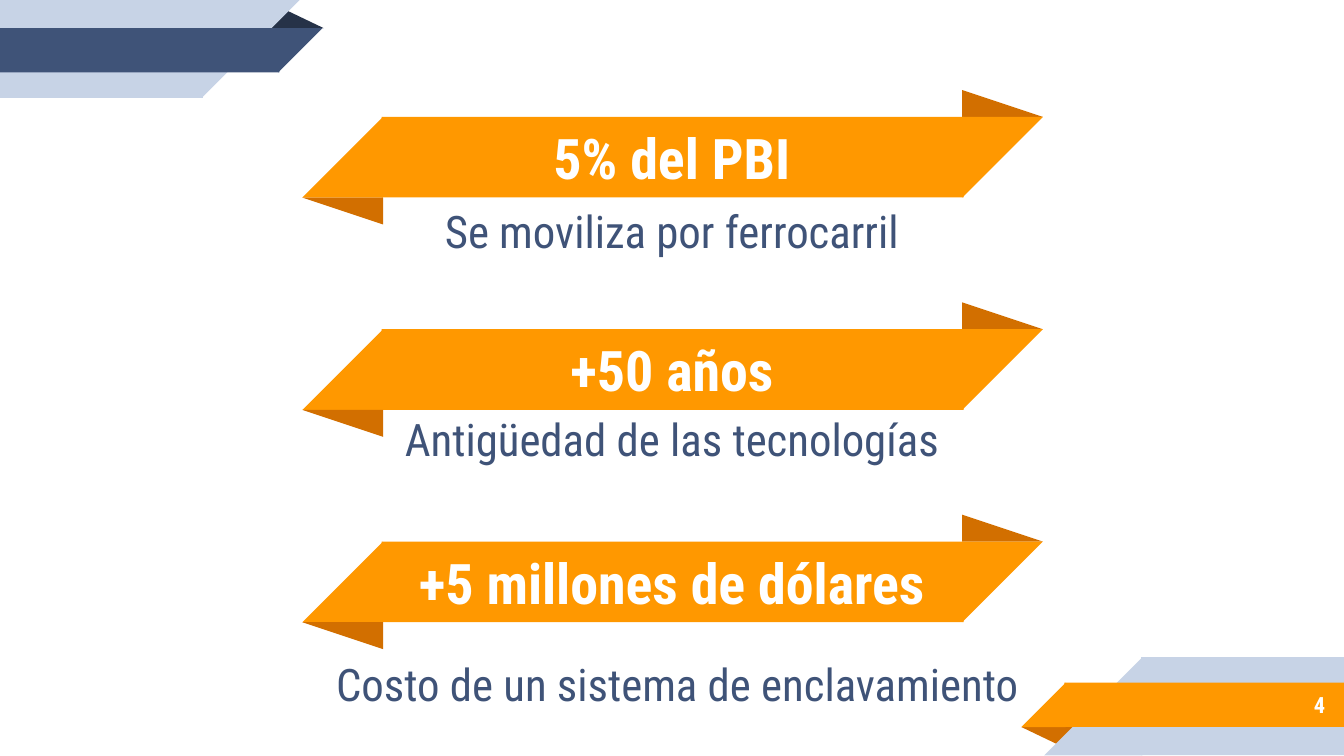
from pptx import Presentation
from pptx.dml.color import RGBColor
from pptx.enum.shapes import MSO_SHAPE
from pptx.enum.text import MSO_ANCHOR, MSO_AUTO_SIZE, PP_ALIGN
from pptx.util import Inches, Pt

ORANGE = RGBColor(0xFF, 0x98, 0x00)
DARK_ORANGE = RGBColor(0xD2, 0x6F, 0x00)
NAVY = RGBColor(0x3F, 0x53, 0x78)
DARK_NAVY = RGBColor(0x26, 0x32, 0x48)
PALE_BLUE = RGBColor(0xC7, 0xD3, 0xE6)
WHITE = RGBColor(0xFF, 0xFF, 0xFF)

RIGHT_ANGLE_TOP_LEFT = 90
RIGHT_ANGLE_BOTTOM_RIGHT = 270

HEADING = {"size": Pt(30), "bold": True}
CAPTION = {"size": Pt(24), "bold": False}
NUMBER = {"size": Pt(12), "bold": True}

FACTS = [
    ("5% del PBI", "Se moviliza por ferrocarril", (2.86, 1.46, 4.28, 0.51)),
    ("+50 años", "Antigüedad de las tecnologías", (2.86, 3.04, 4.28, 0.45)),
    ("+5 millones de dólares", "Costo de un sistema de enclavamiento", (2.37, 4.86, 5.34, 0.45)),
]
FIRST_RIBBON_TOP = 0.87
RIBBON_STEP = 1.58


class SlideBuilder:
    font_name = "Roboto Condensed"
    margin = Inches(0.1)

    def __init__(self, slide):
        self.slide = slide

    def add_group(self):
        return self.slide.shapes.add_group_shape()

    def add_block(self, group, kind, box, color, rotation=0, apex=None):
        shape = group.shapes.add_shape(kind, *map(Inches, box))
        shape.shadow.inherit = False
        shape.fill.solid()
        shape.fill.fore_color.rgb = color
        shape.line.fill.background()
        shape.rotation = rotation
        if apex is not None:
            shape.adjustments[0] = apex

    def add_corner(self, group, left, top, side, color, rotation):
        self.add_block(group, MSO_SHAPE.RIGHT_TRIANGLE, (left, top, side, side), color, rotation)

    def add_ribbon(self, top):
        group = self.add_group()
        self.add_block(group, MSO_SHAPE.ISOSCELES_TRIANGLE, (7.16, top - 0.2, 0.6, 0.2), DARK_ORANGE, apex=0)
        self.add_block(group, MSO_SHAPE.RECTANGLE, (2.84, top, 4.33, 0.6), ORANGE)
        self.add_corner(group, 7.16, top, 0.6, ORANGE, RIGHT_ANGLE_TOP_LEFT)
        self.add_corner(group, 2.25, top, 0.6, ORANGE, RIGHT_ANGLE_BOTTOM_RIGHT)
        self.add_block(group, MSO_SHAPE.ISOSCELES_TRIANGLE, (2.25, top + 0.6, 0.6, 0.2), DARK_ORANGE, 180, 0)

    def add_top_banner(self):
        group = self.add_group()
        self.add_block(group, MSO_SHAPE.ISOSCELES_TRIANGLE, (1.98, 0.07, 0.43, 0.14), DARK_NAVY, apex=0.32)
        self.add_block(group, MSO_SHAPE.RECTANGLE, (0, 0, 1.51, 0.73), PALE_BLUE)
        self.add_corner(group, 1.5, 0, 0.73, PALE_BLUE, RIGHT_ANGLE_TOP_LEFT)
        self.add_block(group, MSO_SHAPE.RECTANGLE, (0, 0.21, 2.08, 0.33), NAVY)
        self.add_corner(group, 2.07, 0.21, 0.33, NAVY, RIGHT_ANGLE_TOP_LEFT)

    def add_bottom_banner(self):
        group = self.add_group()
        self.add_block(group, MSO_SHAPE.ISOSCELES_TRIANGLE, (7.6, 5.41, 0.43, 0.14), DARK_ORANGE, 180, 0.32)
        self.add_block(group, MSO_SHAPE.RECTANGLE, (8.49, 4.89, 1.51, 0.73), PALE_BLUE)
        self.add_corner(group, 7.77, 4.89, 0.73, PALE_BLUE, RIGHT_ANGLE_BOTTOM_RIGHT)
        self.add_block(group, MSO_SHAPE.RECTANGLE, (7.92, 5.08, 2.08, 0.33), ORANGE)
        self.add_corner(group, 7.6, 5.08, 0.33, ORANGE, RIGHT_ANGLE_BOTTOM_RIGHT)

    def add_text(self, text, box, style, color, alignment=PP_ALIGN.CENTER, placeholder=None):
        left, top, width, height = map(Inches, box)
        shape = placeholder
        if shape is None:
            shape = self.slide.shapes.add_textbox(left, top, width, height)
        else:
            shape.element.getparent().append(shape.element)
            for name, value in {"left": left, "top": top, "width": width, "height": height}.items():
                setattr(shape, name, value)
        frame = shape.text_frame
        frame_format = {
            "word_wrap": True,
            "auto_size": MSO_AUTO_SIZE.NONE,
            "vertical_anchor": MSO_ANCHOR.MIDDLE,
            "margin_left": self.margin,
            "margin_right": self.margin,
            "margin_top": self.margin,
            "margin_bottom": self.margin,
        }
        for name, value in frame_format.items():
            setattr(frame, name, value)
        paragraph = frame.paragraphs[0]
        paragraph.text = text
        paragraph.alignment = alignment
        paragraph.space_before = Pt(0)
        for name, value in {"name": self.font_name, **style}.items():
            setattr(paragraph.font, name, value)
        paragraph.font.color.rgb = color


def main():
    presentation = Presentation()
    presentation.slide_width = Inches(10)
    presentation.slide_height = presentation.slide_width * 9 // 16
    slide = presentation.slides.add_slide(presentation.slide_layouts[0])
    title, subtitle = slide.placeholders
    builder = SlideBuilder(slide)

    builder.add_bottom_banner()
    builder.add_top_banner()
    placeholders = [(title, subtitle), (None, None), (None, None)]
    for index, (heading, caption, caption_box) in enumerate(FACTS):
        top = FIRST_RIBBON_TOP + index * RIBBON_STEP
        heading_holder, caption_holder = placeholders[index]
        builder.add_ribbon(top)
        builder.add_text(heading, (2.86, top + 0.01, 4.28, 0.58), HEADING, WHITE, placeholder=heading_holder)
        builder.add_text(caption, caption_box, CAPTION, NAVY, placeholder=caption_holder)
    builder.add_text("4", (8.33, 5.07, 1.63, 0.35), NUMBER, WHITE, PP_ALIGN.RIGHT)

    presentation.save("out.pptx")


if __name__ == "__main__":
    main()
